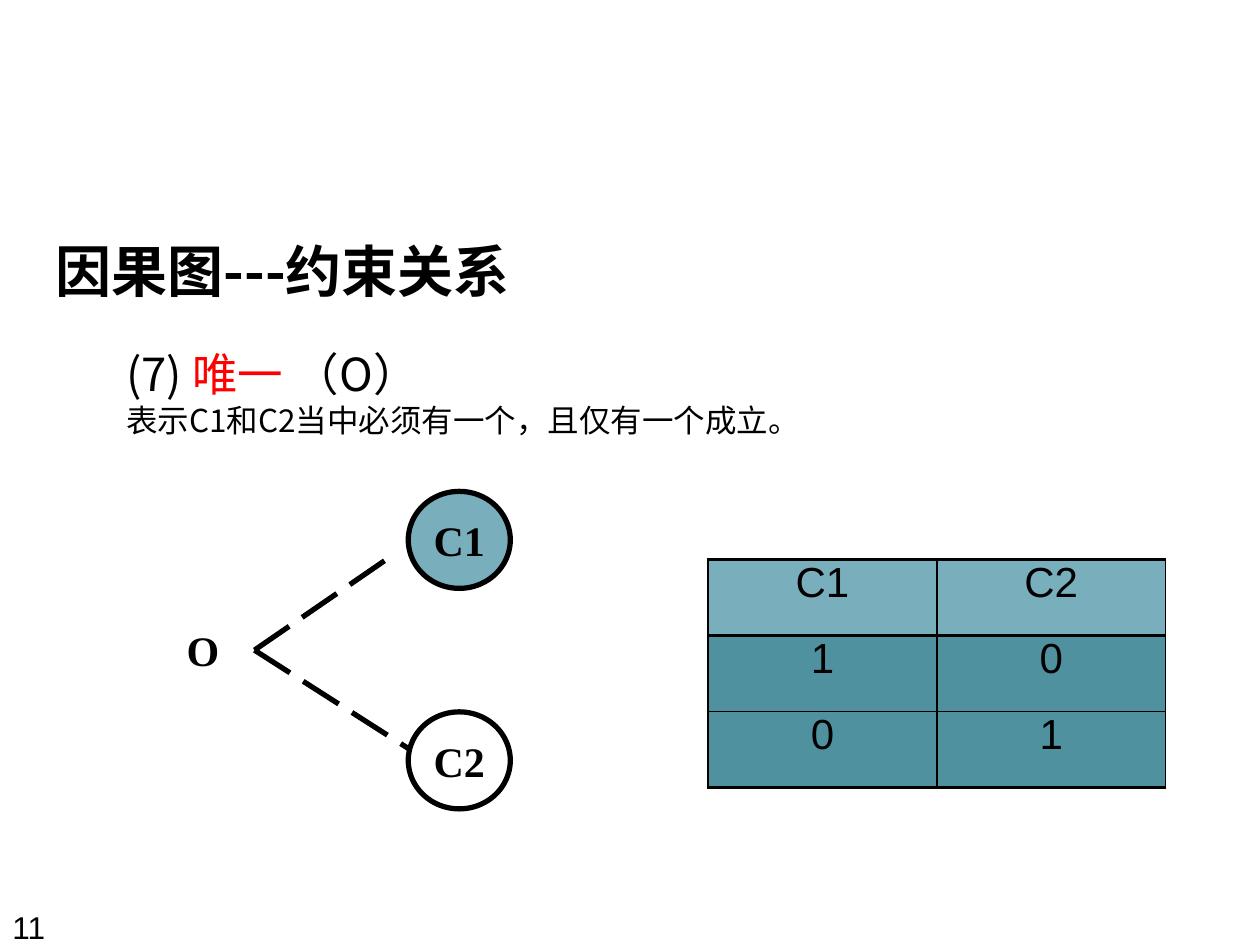
from lxml import etree
from pptx import Presentation
from pptx.dml.color import RGBColor
from pptx.enum import dml, shapes, text
from pptx.oxml import ns
from pptx.util import Inches, Pt

BLACK = RGBColor(0, 0, 0)
WHITE = RGBColor(255, 255, 255)
RED = RGBColor(255, 0, 0)
LIGHT_TEAL = RGBColor(0x79, 0xAF, 0xBC)
TEAL = RGBColor(0x4F, 0x91, 0x9F)
HAN, SANS, SERIF = "Noto Sans CJK SC", "Arial", "Times New Roman"


def add_span(para, words, size, font, color=BLACK, bold=False):
    span = para.add_run()
    span.text = words
    span.font.size = Pt(size)
    span.font.name = font
    span.font.bold = bold
    span.font.color.rgb = color
    if font == HAN:
        east_asian = etree.SubElement(span.font._element, ns.qn("a:ea"))
        east_asian.set("typeface", font)


def prepare_frame(frame, anchor=text.MSO_ANCHOR.TOP, inset=0):
    frame.word_wrap = True
    frame.auto_size = text.MSO_AUTO_SIZE.NONE
    frame.vertical_anchor = anchor
    frame.margin_left = frame.margin_right = Inches(inset)
    frame.margin_top = frame.margin_bottom = Inches(inset / 2)


def place(shape, left, top, width, height):
    shape.left, shape.top = Inches(left), Inches(top)
    shape.width, shape.height = Inches(width), Inches(height)


def add_title(page, left, top, width, height):
    title = page.shapes.title
    place(title, left, top, width, height)
    prepare_frame(title.text_frame)
    para = title.text_frame.paragraphs[0]
    para.alignment = text.PP_ALIGN.LEFT
    add_span(para, "因果图---约束关系", 32, HAN, bold=True)


def add_definition(page, left, top, width, height):
    body = page.placeholders[1]
    place(body, left, top, width, height)
    frame = body.text_frame
    prepare_frame(frame)
    lines = [
        (26, [("(7) ", BLACK), ("唯一 ", RED), ("（O）", BLACK)]),
        (18, [("表示C1和C2当中必须有一个，且仅有一个成立。", BLACK)]),
    ]
    for index, (size, spans) in enumerate(lines):
        para = frame.add_paragraph() if index else frame.paragraphs[0]
        para.space_before = Pt(0)
        properties = para._p.get_or_add_pPr()
        properties.set("marL", "0")
        properties.set("indent", "0")
        etree.SubElement(properties, ns.qn("a:buNone"))
        for words, color in spans:
            add_span(para, words, size, HAN, color)


def add_label(frame, words):
    prepare_frame(frame, text.MSO_ANCHOR.MIDDLE)
    para = frame.paragraphs[0]
    para.alignment = text.PP_ALIGN.CENTER
    add_span(para, words, 24, SERIF, bold=True)


def add_cause(page, words, fill, left, top):
    cause = page.shapes.add_shape(
        shapes.MSO_SHAPE.OVAL, Inches(left), Inches(top), Inches(0.81), Inches(0.77))
    cause.shadow.inherit = False
    cause.fill.solid()
    cause.fill.fore_color.rgb = fill
    cause.line.color.rgb = BLACK
    cause.line.width = Pt(3)
    add_label(cause.text_frame, words)


def add_branch(page, start_x, start_y, end_x, end_y):
    branch = page.shapes.add_connector(
        shapes.MSO_CONNECTOR.STRAIGHT,
        Inches(start_x), Inches(start_y), Inches(end_x), Inches(end_y))
    branch.line.color.rgb = BLACK
    branch.line.width = Pt(3)
    branch.line.dash_style = dml.MSO_LINE.LONG_DASH
    etree.SubElement(branch._element.spPr, ns.qn("a:effectLst"))


def add_graph(page, left, top):
    add_cause(page, "C1", LIGHT_TEAL, left + 1.84, top)
    add_cause(page, "C2", WHITE, left + 1.84, top + 1.75)
    root = page.shapes.add_textbox(
        Inches(left), Inches(top + 1.06), Inches(0.42), Inches(0.4))
    add_label(root.text_frame, "O")
    for end_x, end_y in [(1.74, 0.49), (1.84, 2.04)]:
        add_branch(page, left + 0.62, top + 1.26, left + end_x, top + end_y)


def set_borders(cell, widths):
    properties = cell._tc.get_or_add_tcPr()
    for index, (side, width) in enumerate(widths.items()):
        line = etree.Element(ns.qn(f"a:ln{side}"), w=str(Pt(width)))
        fill = etree.SubElement(line, ns.qn("a:solidFill"))
        etree.SubElement(fill, ns.qn("a:srgbClr"), val=str(BLACK))
        properties.insert(index, line)


def add_truth_table(page, left, top, width, height):
    rows = [("C1", "C2"), ("1", "0"), ("0", "1")]
    table = page.shapes.add_table(
        len(rows), 2, Inches(left), Inches(top), Inches(width), Inches(height)).table
    table.first_row = table.horz_banding = False
    rules = [2.25, 2.25, 1, 2.25]
    for row, values in enumerate(rows):
        for column, value in enumerate(values):
            cell = table.cell(row, column)
            cell.margin_left = cell.margin_right = 0
            cell.margin_top = cell.margin_bottom = 0
            cell.fill.solid()
            cell.fill.fore_color.rgb = TEAL if row else LIGHT_TEAL
            set_borders(cell, {"L": 1, "R": 1, "T": rules[row], "B": rules[row + 1]})
            para = cell.text_frame.paragraphs[0]
            para.alignment = text.PP_ALIGN.CENTER
            add_span(para, value, 24, SANS)


def add_page_number(page, left, top, width, height):
    box = page.shapes.add_textbox(
        Inches(left), Inches(top), Inches(width), Inches(height))
    prepare_frame(box.text_frame, inset=0.1)
    add_span(box.text_frame.paragraphs[0], "11", 18, SANS)


def main():
    deck = Presentation()
    deck.slide_width, deck.slide_height = Inches(10), Inches(7.5)
    page = deck.slides.add_slide(deck.slide_layouts[1])
    add_title(page, 0.44, 1.88, 8.5, 0.65)
    add_definition(page, 1, 2.75, 5.8, 0.95)
    add_graph(page, 1.4, 3.9)
    add_truth_table(page, 5.62, 4.44, 3.63, 1.81)
    add_page_number(page, 0, 7.16, 10, 0.29)
    deck.save("out.pptx")


if __name__ == "__main__":
    main()
